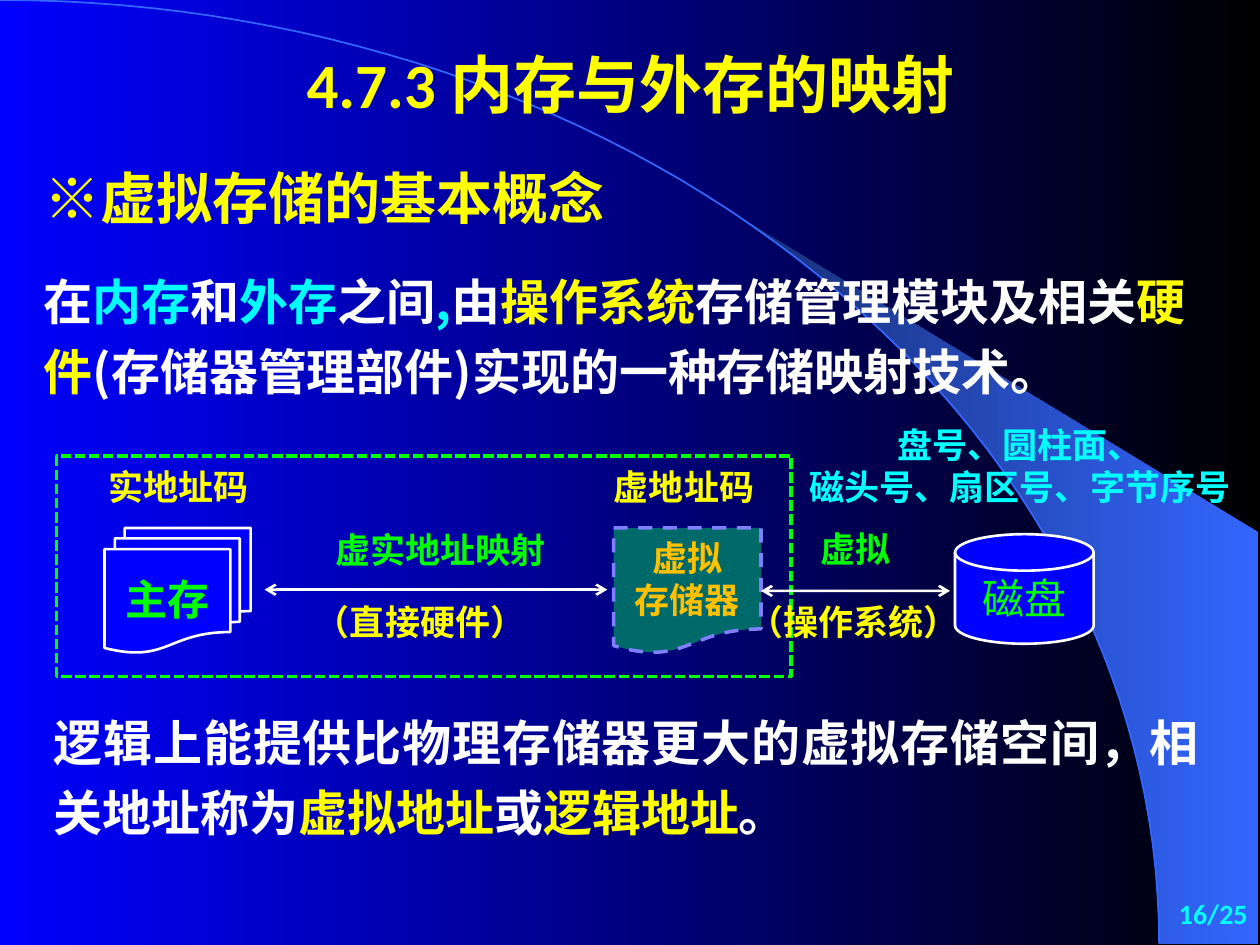
import math

from lxml import etree
from pptx import Presentation
from pptx import util as u
from pptx.dml.color import RGBColor
from pptx.enum import dml, shapes, text
from pptx.oxml import ns

BLUE = RGBColor(0x00, 0x00, 0xFF)
BLACK = RGBColor(0x00, 0x00, 0x00)
WHITE = RGBColor(0xFF, 0xFF, 0xFF)
YELLOW = RGBColor(0xFF, 0xFF, 0x00)
CYAN = RGBColor(0x00, 0xFF, 0xFF)
GREEN = RGBColor(0x00, 0xFF, 0x00)
ORANGE = RGBColor(0xFF, 0xC0, 0x00)
TEAL = RGBColor(0x00, 0x6A, 0x6A)
LILAC = RGBColor(0x7F, 0x7F, 0xFF)
SKY = RGBColor(0x33, 0x66, 0xFF)
NAVY = RGBColor(0x18, 0x2F, 0x76)

WIDTH, HEIGHT = u.Inches(10), u.Inches(7.5)
CJK = "Noto Sans CJK SC"
MIDDLE = text.MSO_ANCHOR.MIDDLE
ALIGN = text.PP_ALIGN


def share(x, y):
    """Turn percentages of the slide's width and height into lengths."""
    return int(WIDTH * x / 100), int(HEIGHT * y / 100)


def place(shape, x, y, w, h):
    shape.left, shape.top = share(x, y)
    shape.width, shape.height = share(w, h)


def write(shape, paragraphs, size, font=CJK, bold=True, align=ALIGN.CENTER,
          spacing=None, **frame_format):
    """Fill a shape with paragraphs, each a list of (words, colour) runs."""
    frame = shape.text_frame
    settings = {"word_wrap": True, "vertical_anchor": MIDDLE,
                "auto_size": text.MSO_AUTO_SIZE.NONE, **frame_format}
    for name, value in settings.items():
        setattr(frame, name, value)
    for index, runs in enumerate(paragraphs):
        paragraph = frame.add_paragraph() if index else frame.paragraphs[0]
        paragraph.alignment = align
        if spacing:
            paragraph.line_spacing = spacing
        for words, colour in runs:
            run = paragraph.add_run()
            run.text = words
            for name, value in {"size": u.Pt(size), "bold": bold, "name": font}.items():
                setattr(run.font, name, value)
            run.font.color.rgb = colour
            east_asian = etree.SubElement(run.font._element, ns.qn("a:ea"))
            east_asian.set("typeface", CJK)


def gradient(fill, start, end):
    fill.gradient()
    fill.gradient_angle = 0
    for stop, colour in zip(fill.gradient_stops, (start, end)):
        stop.color.rgb = colour


def outline(line, colour, width, dash=None):
    line.color.rgb = colour
    line.width = u.Pt(width)
    if dash:
        line.dash_style = dash


def add_text(slide, box, paragraphs, size, **formats):
    textbox = slide.shapes.add_textbox(0, 0, 0, 0)
    place(textbox, *box)
    write(textbox, paragraphs, size, **formats)


def add_label(slide, box, colour, *lines):
    add_text(slide, box, [[(line, colour)] for line in lines], 20,
             font="Arial", word_wrap=False)


def add_block(slide, kind, box, fill, *line):
    block = slide.shapes.add_shape(kind, 0, 0, 0, 0)
    place(block, *box)
    block.shadow.inherit = False
    if fill is None:
        block.fill.background()
    else:
        block.fill.solid()
        block.fill.fore_color.rgb = fill
    outline(block.line, *line)
    return block


def add_arrow(slide, start_x, end_x, y):
    arrow = slide.shapes.add_connector(
        shapes.MSO_CONNECTOR.STRAIGHT, *share(start_x, y), *share(end_x, y))
    outline(arrow.line, WHITE, 1.5)
    line = arrow.line._get_or_add_ln()
    for end in ("a:headEnd", "a:tailEnd"):
        etree.SubElement(line, ns.qn(end)).set("type", "arrow")
    etree.SubElement(arrow._element.spPr, ns.qn("a:effectLst"))
    return arrow


def arc(start_x, steps=60):
    """Points, in inches, down a quarter ellipse centred at the lower left."""
    radius_x, radius_y = 9.2, 7.49
    start = math.asin(start_x / radius_x)
    angles = [start + (math.pi / 2 - start) * i / steps for i in range(steps + 1)]
    return [(radius_x * math.sin(a), radius_y * (1 - math.cos(a))) for a in angles]


def add_outline(slide, points, close):
    """Draw a freeform behind the text."""
    units = [(round(x * 1000), round(y * 1000)) for x, y in points]
    builder = slide.shapes.build_freeform(*units[0], scale=u.Inches(1) / 1000)
    builder.add_line_segments(units[1:], close=close)
    freeform = builder.convert_to_shape()
    freeform.shadow.inherit = False
    return freeform


def add_backdrop(slide):
    gradient(slide.background.fill, BLUE, BLACK)
    beam = add_outline(slide, arc(5.89) + [(9.99, 7.49), (9.99, 4.23)], True)
    gradient(beam.fill, NAVY, SKY)
    beam.line.fill.background()
    horizon = add_outline(slide, arc(0), False)
    horizon.fill.background()
    outline(horizon.line, SKY, 1)
    for index, part in enumerate((beam, horizon), start=2):
        slide.shapes._spTree.insert(index, part._element)


def add_headings(slide):
    title, body = slide.placeholders
    place(title, 3.33, 3.33, 93.4, 11.07)
    write(title, [[("4.7.3 内存与外存的映射", YELLOW)]], 36, font="Calibri")
    place(body, 2.5, 16.67, 50, 10)
    properties = body.text_frame.paragraphs[0]._p.get_or_add_pPr()
    properties.set("marL", "0")
    properties.set("indent", "0")
    etree.SubElement(properties, ns.qn("a:buNone"))
    body.text_frame.paragraphs[0].space_before = u.Pt(0)
    write(body, [[("※虚拟存储的基本概念", YELLOW)]], 32, align=ALIGN.JUSTIFY,
          vertical_anchor=text.MSO_ANCHOR.TOP)


def add_explanations(slide):
    definition = [
        ("在", WHITE), ("内存", CYAN), ("和", WHITE), ("外存", CYAN),
        ("之间", WHITE), (",", CYAN), ("由", WHITE), ("操作系统", YELLOW),
        ("存储管理模块及相关", WHITE), ("硬件", YELLOW),
        ("(存储器管理部件)实现的一种存储映射技术。", WHITE)]
    result = [
        ("逻辑上能提供比物理存储器更大的虚拟存储空间，相关地址称为", WHITE),
        ("虚拟地址", YELLOW), ("或", WHITE), ("逻辑地址", YELLOW), ("。", WHITE)]
    top = text.MSO_ANCHOR.TOP
    add_text(slide, (2.5, 26.8, 93.3, 16.27), [definition], 28,
             align=ALIGN.LEFT, spacing=1.2, vertical_anchor=top)
    add_text(slide, (3.3, 73.47, 92.9, 16.27), [result], 28,
             align=ALIGN.JUSTIFY, spacing=1.2, vertical_anchor=top)


def add_mapping(slide):
    kinds = shapes.MSO_SHAPE
    # Frame around the addressable memory
    add_block(slide, kinds.RECTANGLE, (4.5, 48.27, 58.3, 23.33), None,
              GREEN, 2, dml.MSO_LINE.SQUARE_DOT).line._get_or_add_ln().find(
                  ns.qn("a:prstDash")).set("val", "sysDash")
    # Storage levels
    main_memory = add_block(slide, kinds.FLOWCHART_MULTIDOCUMENT,
                            (8.3, 55.87, 11.6, 13.2), BLUE, WHITE, 1.5)
    write(main_memory, [[("主存", GREEN)]], 24, font="Arial", word_wrap=False)
    disk = add_block(slide, kinds.FLOWCHART_MAGNETIC_DISK,
                     (75.8, 56.53, 11, 11.6), BLUE, WHITE, 1.5)
    write(disk, [[("磁盘", GREEN)]], 24, font="Arial", bold=False, word_wrap=False)
    virtual_memory = add_block(slide, kinds.FLOWCHART_DOCUMENT,
                               (48.7, 55.87, 11.7, 13.33), TEAL,
                               LILAC, 2, dml.MSO_LINE.DASH)
    write(virtual_memory, [[("虚拟", ORANGE)], [("存储器", ORANGE)]], 20)
    # Mappings between the levels
    add_arrow(slide, 21, 48.2, 62.4)
    add_arrow(slide, 60.5, 75.4, 62.53).begin_connect(virtual_memory, 3)
    add_label(slide, (24.3, 54, 21.3, 8.4), GREEN, "虚实地址映射")
    add_label(slide, (62.9, 53.87, 10, 8.4), GREEN, "虚拟")
    for x, means in ((26.7, "（直接硬件）"), (61.1, "（操作系统）")):
        add_label(slide, (x, 61.6, 13.3, 8.4), YELLOW, means)
    # Address form of each level
    for x, address in ((9.2, "实地址码"), (49.3, "虚地址码")):
        add_label(slide, (x, 47.33, 10, 8.4), YELLOW, address)
    add_label(slide, (62.2, 43.73, 37.5, 11.07), CYAN,
              "盘号、圆柱面、", "磁头号、扇区号、字节序号")


def main():
    deck = Presentation()
    deck.slide_width, deck.slide_height = WIDTH, HEIGHT
    slide = deck.slides.add_slide(deck.slide_layouts[1])
    add_backdrop(slide)
    add_headings(slide)
    add_explanations(slide)
    add_mapping(slide)
    # Page number
    add_text(slide, (79.2, 93.33, 20.8, 6.67), [[("16/25", CYAN)]], 16,
             font="Calibri", align=ALIGN.RIGHT)
    deck.save("out.pptx")


if __name__ == "__main__":
    main()
